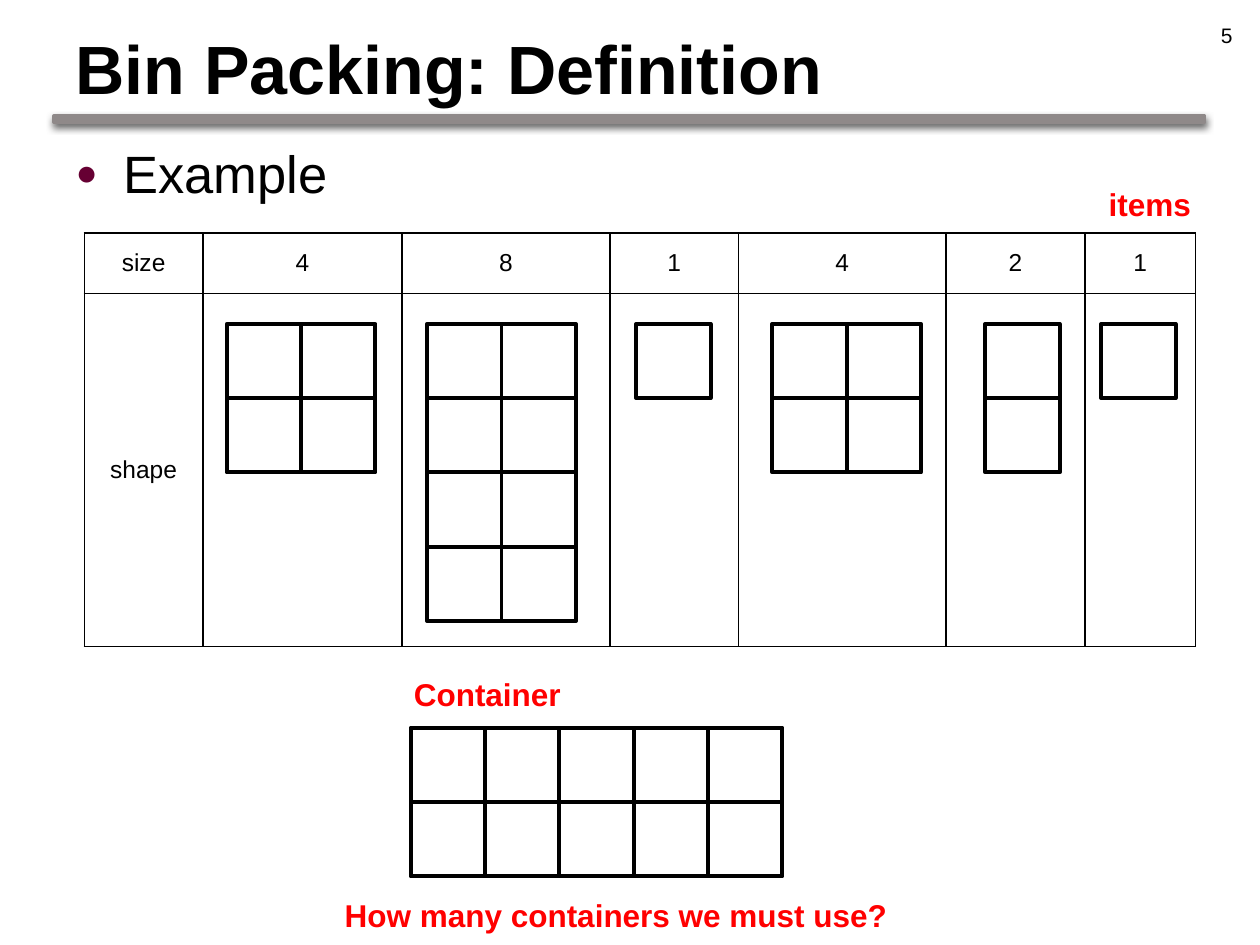
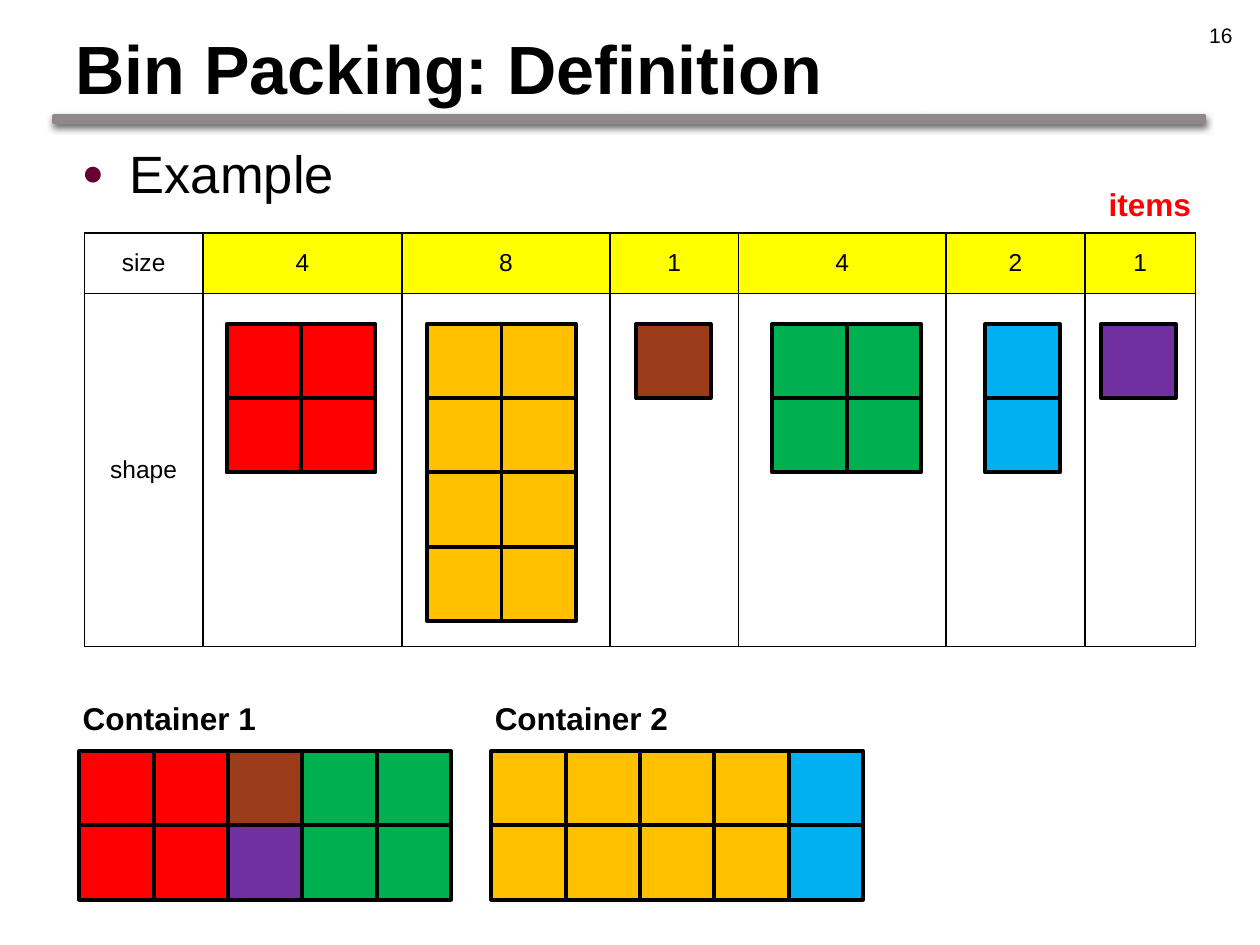
from collections import namedtuple
from itertools import product

from lxml.etree import SubElement
from pptx import Presentation
from pptx.dml.color import RGBColor
from pptx.enum.shapes import MSO_CONNECTOR as Connector, MSO_SHAPE as Shape
from pptx.enum.text import MSO_ANCHOR as Anchor, MSO_AUTO_SIZE as AutoSize, PP_ALIGN as Align
from pptx.oxml.ns import qn
from pptx.util import Inches, Pt

WIDTH, HEIGHT = Inches(10), Inches(7.5)
GRID_COLUMNS = 100
UNIT = 5.9
FONT = "Arial"
COLOURS = {
    "ink": "000000", "paper": "FFFFFF", "band": "8F8989", "shade": "606060",
    "bullet": "660033", "accent": "FF0000", "highlight": "FFFF00",
    "red": "FF0000", "amber": "FFC000", "brown": "9C3C1A",
    "green": "00B050", "blue": "00B0F0", "purple": "7030A0",
}

Box = namedtuple("Box", "left top width height")
Item = namedtuple("Item", "size column inset columns rows colour")
Part = namedtuple("Part", "column row columns rows colour")

ITEMS = [
    Item(4, 15.8, 1.9, 2, 2, "red"),
    Item(8, 16.5, 2, 2, 4, "amber"),
    Item(1, 10.2, 2.1, 1, 1, "brown"),
    Item(4, 16.5, 2.7, 2, 2, "green"),
    Item(2, 11, 3.1, 1, 2, "blue"),
    Item(1, 8.8, 1.3, 1, 1, "purple"),
]
HEADING_COLUMN = 9.4
SIZE_ROW, SHAPE_ROW = 4.8, 28
TABLE = Box(6.7, 18.5, 88.3, SIZE_ROW + SHAPE_ROW)
EMPTY_BIN = [Part(0, 0, 4, 2, None), Part(4, 0, 1, 2, None)]
FIRST_BIN = [
    Part(0, 0, 2, 2, "red"), Part(2, 0, 1, 1, "brown"),
    Part(2, 1, 1, 1, "purple"), Part(3, 0, 2, 2, "green"),
]
SECOND_BIN = [Part(0, 0, 4, 2, "amber"), Part(4, 0, 1, 2, "blue")]


def grid(steps):
    return round(WIDTH * steps / GRID_COLUMNS)


def place(box):
    return [grid(length) for length in box]


def rgb(name):
    return RGBColor.from_string(COLOURS[name])


def style(para, size, colour="ink", bold=False, align=Align.LEFT):
    para.alignment = align
    para.font.name = FONT
    para.font.size = Pt(size)
    para.font.bold = bold
    para.font.color.rgb = rgb(colour)


def add_label(page, box, text, size=18, colour="accent", bold=True):
    label = page.shapes.add_textbox(*place(box))
    label.text_frame.word_wrap = True
    label.text_frame.auto_size = AutoSize.SHAPE_TO_FIT_TEXT
    para = label.text_frame.paragraphs[0]
    para.text = text
    style(para, size, colour, bold, Align.RIGHT)


def add_rectangle(page, box, fill, line="ink", weight=2.25):
    rectangle = page.shapes.add_shape(Shape.RECTANGLE, *place(box))
    rectangle.shadow.inherit = False
    if fill:
        rectangle.fill.solid()
        rectangle.fill.fore_color.rgb = rgb(fill)
    else:
        rectangle.fill.background()
    rectangle.line.color.rgb = rgb(line)
    rectangle.line.width = Pt(weight)
    return rectangle


def add_line(page, start, end, weight=2.25):
    line = page.shapes.add_connector(Connector.STRAIGHT, *place(start + end))
    line.line.color.rgb = rgb("ink")
    line.line.width = Pt(weight)
    SubElement(line._element.spPr, qn("a:effectLst"))
    return line


def add_block(page, left, top, columns, rows, fill):
    tile = min(columns, rows, 2)
    side = tile * UNIT
    for row, column in product(range(0, rows, tile), range(0, columns, tile)):
        x, y = left + column * UNIT, top + row * UNIT
        square = add_rectangle(page, Box(x, y, side, side), fill)
        if tile == 2:
            middle_x, middle_y = x + UNIT, y + UNIT
            upright = add_line(page, (middle_x, y), (middle_x, y + side))
            level = add_line(page, (x, middle_y), (x + side, middle_y))
            for line, first, last in ((upright, 0, 2), (level, 1, 3)):
                line.begin_connect(square, first)
                line.end_connect(square, last)


def add_band(page, box):
    add_line(page, (box.left, box.top - 0.1), (box.left + box.width, box.top - 0.1), 0.75)
    band = add_rectangle(page, box, "band", "band", 2)
    effects = band._element.spPr.find(qn("a:effectLst"))
    shadow = SubElement(effects, qn("a:outerShdw"), blurRad=str(Pt(4)), dist=str(Pt(2)),
                        dir="5400000", algn="ctr", rotWithShape="0")
    SubElement(shadow, qn("a:srgbClr"), val=COLOURS["shade"])


def fill_title(page, box, text):
    title = page.shapes.title
    title.left, title.top, title.width, title.height = place(box)
    title.text_frame.text = text
    title.text_frame.vertical_anchor = Anchor.BOTTOM
    title.text_frame.auto_size = AutoSize.NONE
    style(title.text_frame.paragraphs[0], 39, bold=True)


def fill_body(page, box, text):
    body = page.placeholders[1]
    body.left, body.top, body.width, body.height = place(box)
    body.text_frame.text = text
    para = body.text_frame.paragraphs[0]
    style(para, 30)
    bullet = para._p.get_or_add_pPr()
    bullet.set("marL", str(grid(3.8)))
    bullet.set("indent", str(-grid(3.8)))
    colour = SubElement(bullet, qn("a:buClr"))
    SubElement(colour, qn("a:srgbClr"), val=COLOURS["bullet"])
    SubElement(bullet, qn("a:buSzPct"), val="70000")
    SubElement(bullet, qn("a:buFont"), typeface=FONT)
    SubElement(bullet, qn("a:buChar"), char="●")
    bullet.append(bullet.find(qn("a:defRPr")))


def format_cell(cell, text, fill):
    properties = cell._tc.get_or_add_tcPr()
    for side in ("lnL", "lnR", "lnT", "lnB"):
        border = SubElement(properties, qn(f"a:{side}"), w=str(Pt(1)))
        SubElement(SubElement(border, qn("a:solidFill")), qn("a:srgbClr"), val=COLOURS["ink"])
    cell.fill.solid()
    cell.fill.fore_color.rgb = rgb(fill)
    cell.vertical_anchor = Anchor.MIDDLE
    cell.text = text
    style(cell.text_frame.paragraphs[0], 14, align=Align.CENTER)


def add_items(page, box, coloured):
    table = page.shapes.add_table(2, len(ITEMS) + 1, *place(box)).table
    table.first_row = table.horz_banding = False
    widths = [HEADING_COLUMN] + [item.column for item in ITEMS]
    for column, width in zip(table.columns, widths):
        column.width = grid(width)
    for row, height in zip(table.rows, (SIZE_ROW, SHAPE_ROW)):
        row.height = grid(height)
    format_cell(table.cell(0, 0), "size", "paper")
    format_cell(table.cell(1, 0), "shape", "paper")
    left = box.left + HEADING_COLUMN
    for index, item in enumerate(ITEMS, 1):
        format_cell(table.cell(0, index), str(item.size), "highlight" if coloured else "paper")
        format_cell(table.cell(1, index), "", "paper")
        add_block(page, left + item.inset, box.top + SIZE_ROW + 2.4,
                  item.columns, item.rows, item.colour if coloured else None)
        left += item.column
    add_label(page, Box(box.left + 78.6, box.top - 4.3, 10.2, 4), "items")


def add_container(page, left, top, label, label_width, parts, colour):
    for part in parts:
        add_block(page, left + part.column * UNIT, top + part.row * UNIT,
                  part.columns, part.rows, part.colour)
    add_label(page, Box(left - 2.8, top - 4.65, label_width, 4), label, colour=colour)


def add_page(deck, number, body_left, coloured):
    page = deck.slides.add_slide(deck.slide_layouts[1])
    add_band(page, Box(4.3, 9.2, 91.3, 0.5))
    fill_title(page, Box(5, 1.3, 90, 7.8), "Bin Packing: Definition")
    fill_body(page, Box(body_left, 10.7, 90, 62.2), "Example")
    add_label(page, Box(75.5, 1.3, 23.3, 2.8), number, 12, "ink", False)
    add_items(page, TABLE, coloured)
    return page


def add_question_page(deck):
    page = add_page(deck, "5", 5, False)
    add_container(page, 32.6, 57.75, "Container", 15.7, EMPTY_BIN, "accent")
    add_label(page, Box(25.6, 70.6, 46.5, 4), "How many containers we must use? ")


def add_answer_page(deck):
    page = add_page(deck, "16", 5.5, True)
    for index, parts in enumerate((FIRST_BIN, SECOND_BIN)):
        add_container(page, 6.3 + index * 32.7, 59.6, f"Container {index + 1}", 17.8, parts, "ink")


def main():
    deck = Presentation()
    deck.slide_width, deck.slide_height = WIDTH, HEIGHT
    add_question_page(deck)
    add_answer_page(deck)
    deck.save("out.pptx")


if __name__ == "__main__":
    main()
